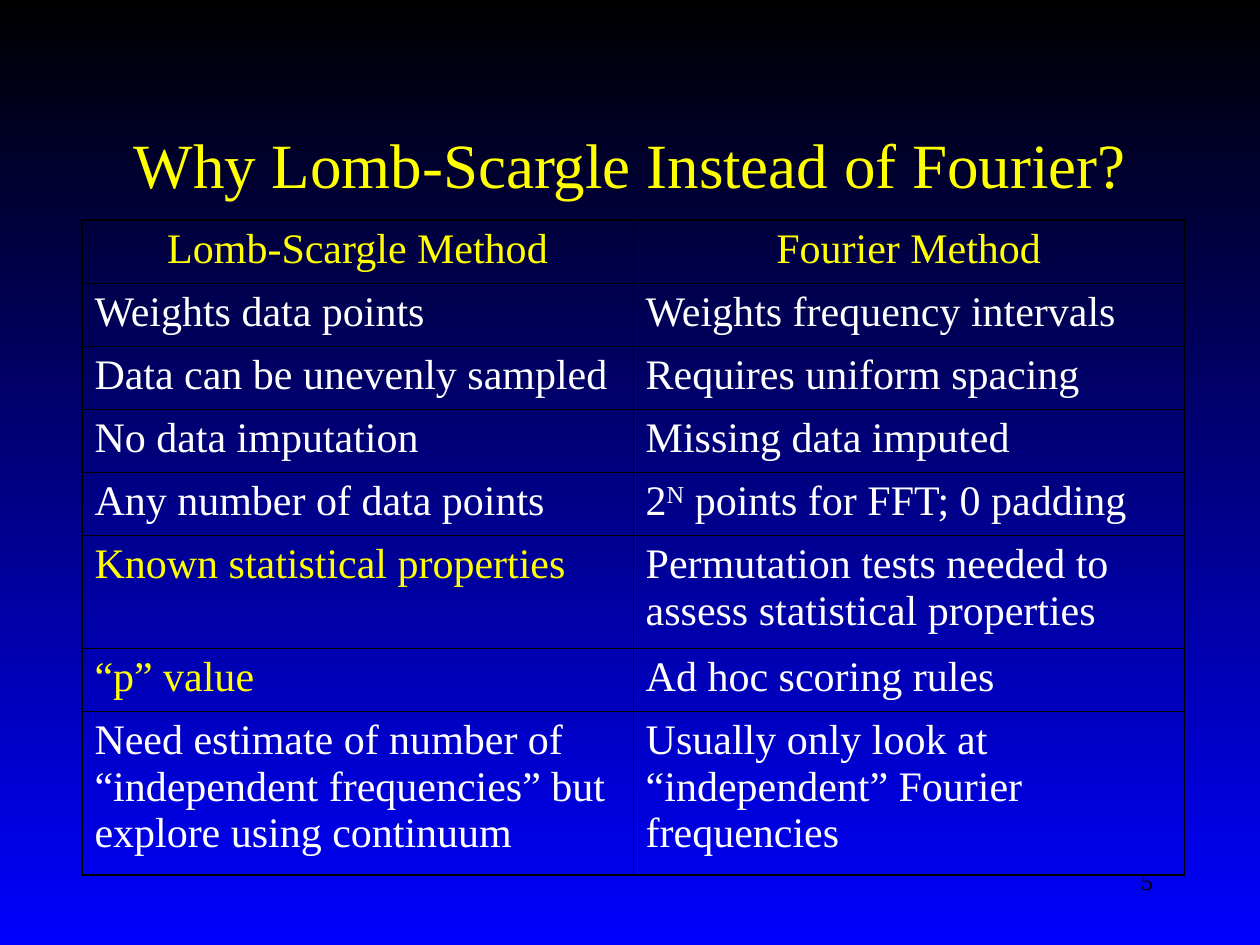
import dataclasses

import lxml.etree
import pptx
import pptx.dml.color
import pptx.enum.text
import pptx.oxml.ns
import pptx.util

ALIGN = pptx.enum.text.PP_ALIGN
ANCHOR = pptx.enum.text.MSO_ANCHOR


@dataclasses.dataclass(frozen=True)
class Theme:
    font: str = "Times New Roman"
    accent: str = "FFFF00"
    text: str = "FFFFFF"
    line: str = "000000"
    back_top: str = "000000"
    back_bottom: str = "0000FF"
    title_size: float = 36
    body_size: float = 24
    number_size: float = 14
    outer_line: float = 1.08
    inner_line: float = 0.45


THEME = Theme()
WIDTH, HEIGHT = 10, 7.5
TITLE_BOX = (0.075, 0.09, 0.85, 0.165)
TABLE_BOX = (0.065, 0.233, 0.875, 0.693)
NUMBER_BOX = (0.717, 0.91, 0.208, 0.067)
ROW_UNITS = [5, 5, 5, 5, 5, 9, 5, 13]
ACCENT_CELLS = {(0, 0), (0, 1), (5, 0), (6, 0)}
ROWS = [
    ("Lomb-Scargle Method", "Fourier Method"),
    ("Weights data points", "Weights frequency intervals"),
    ("Data can be unevenly sampled", "Requires uniform spacing"),
    ("No data imputation", "Missing data imputed"),
    ("Any number of data points", ["2", ("N", 30000), " points for FFT; 0 padding"]),
    ("Known statistical properties",
     "Permutation tests needed to assess statistical properties"),
    ("“p” value", "Ad hoc scoring rules"),
    ("Need estimate of number of “independent frequencies” but explore using continuum",
     "Usually only look at “independent” Fourier frequencies"),
]


def rgb(color):
    return pptx.dml.color.RGBColor.from_string(color)


def place(box):
    return [pptx.util.Inches(share * size)
            for share, size in zip(box, (WIDTH, HEIGHT, WIDTH, HEIGHT))]


def add_runs(p, content, size, color, align):
    p.alignment = align
    for part in [content] if isinstance(content, str) else content:
        text, baseline = (part, 0) if isinstance(part, str) else part
        r = p.add_run()
        r.text = text
        r.font.name = THEME.font
        r.font.size = pptx.util.Pt(size)
        r.font.color.rgb = rgb(color)
        if baseline:
            r.font._element.set("baseline", str(baseline))


def set_borders(cell, widths):
    tc_pr = cell._tc.get_or_add_tcPr()
    qn = pptx.oxml.ns.qn
    for side, width in widths.items():
        ln = lxml.etree.SubElement(tc_pr, qn(f"a:ln{side}"), w=str(int(pptx.util.Pt(width))))
        fill = lxml.etree.SubElement(ln, qn("a:solidFill"))
        lxml.etree.SubElement(fill, qn("a:srgbClr"), val=THEME.line)


def paint_background(s):
    fill = s.background.fill
    fill.gradient()
    fill.gradient_angle = 270
    stops = zip(fill.gradient_stops, (0, 1), (THEME.back_top, THEME.back_bottom))
    for stop, position, color in stops:
        stop.position = position
        stop.color.rgb = rgb(color)


def add_title(s, box, text):
    sp = s.shapes.title
    sp.left, sp.top, sp.width, sp.height = place(box)
    tf = sp.text_frame
    tf.word_wrap = True
    tf.vertical_anchor = ANCHOR.MIDDLE
    add_runs(tf.paragraphs[0], text, THEME.title_size, THEME.accent, ALIGN.CENTER)


def add_comparison(s, box, rows):
    left, top, width, height = place(box)
    last_row, last_col = len(rows) - 1, len(rows[0]) - 1
    table = s.shapes.add_table(last_row + 1, last_col + 1, left, top, width, height).table
    table.first_row = table.horz_banding = False
    for column in table.columns:
        column.width = width // (last_col + 1)
    for row, units in zip(table.rows, ROW_UNITS):
        row.height = height * units // sum(ROW_UNITS)
    for i, row in enumerate(rows):
        for j, content in enumerate(row):
            cell = table.cell(i, j)
            edges = {"L": j == 0, "R": j == last_col, "T": i == 0, "B": i == last_row}
            set_borders(cell, {side: THEME.outer_line if outer else THEME.inner_line
                               for side, outer in edges.items()})
            cell.fill.background()
            add_runs(cell.text_frame.paragraphs[0], content, THEME.body_size,
                     THEME.accent if (i, j) in ACCENT_CELLS else THEME.text,
                     ALIGN.CENTER if i == 0 else ALIGN.LEFT)


def add_number(s, box, text):
    tf = s.shapes.add_textbox(*place(box)).text_frame
    tf.word_wrap = True
    add_runs(tf.paragraphs[0], text, THEME.number_size, THEME.line, ALIGN.RIGHT)


def main():
    prs = pptx.Presentation()
    prs.slide_width = pptx.util.Inches(WIDTH)
    prs.slide_height = pptx.util.Inches(HEIGHT)
    s = prs.slides.add_slide(prs.slide_layouts[5])
    paint_background(s)
    add_title(s, TITLE_BOX, "Why Lomb-Scargle Instead of Fourier?")
    add_comparison(s, TABLE_BOX, ROWS)
    add_number(s, NUMBER_BOX, "5")
    prs.save("out.pptx")


if __name__ == "__main__":
    main()
